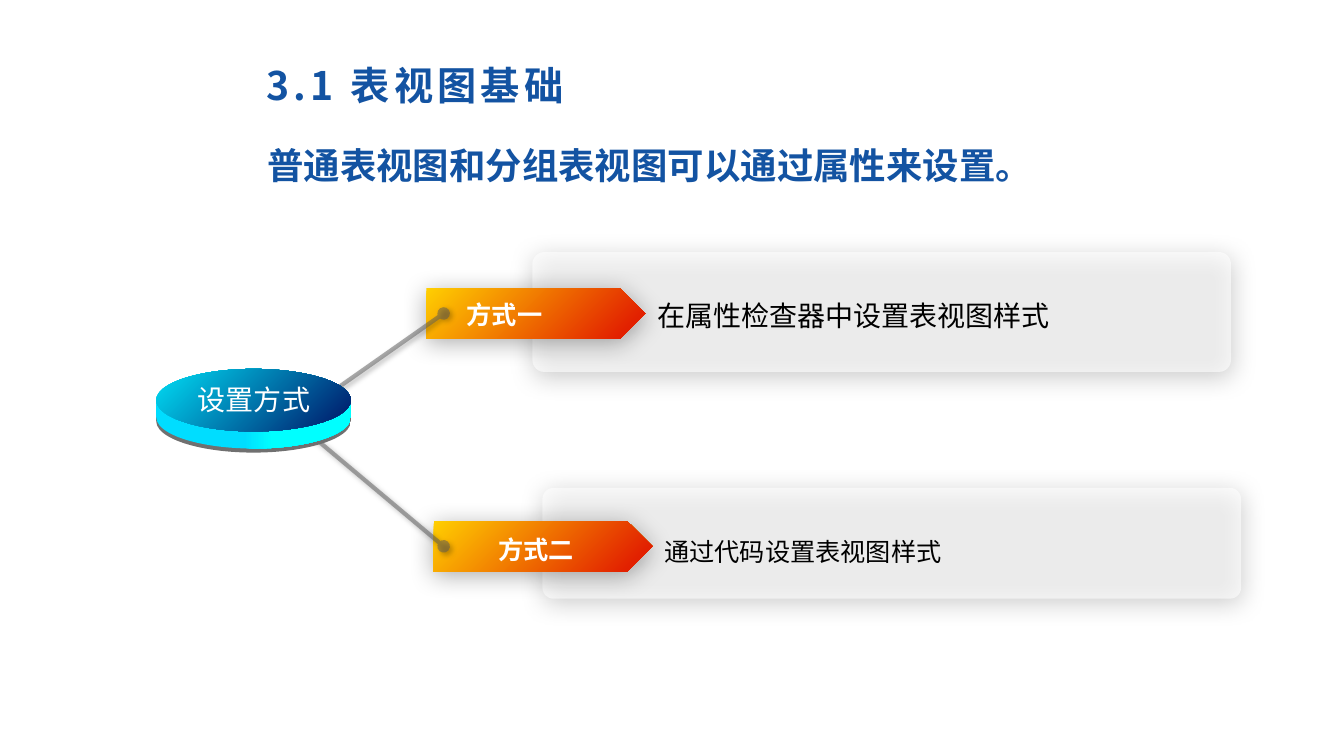
from lxml import etree
from pptx import Presentation
from pptx.dml.color import RGBColor
from pptx.enum.shapes import MSO_CONNECTOR, MSO_SHAPE
from pptx.enum.text import MSO_ANCHOR, PP_ALIGN
from pptx.oxml.ns import qn
from pptx.util import Inches, Pt

ROUND = MSO_SHAPE.ROUNDED_RECTANGLE
ARROW = MSO_SHAPE.PENTAGON
OVAL = MSO_SHAPE.OVAL
RECT = MSO_SHAPE.RECTANGLE
LINE = MSO_CONNECTOR.STRAIGHT
LEFT = PP_ALIGN.LEFT
MID = PP_ALIGN.CENTER
TOP = MSO_ANCHOR.TOP
CENTER = MSO_ANCHOR.MIDDLE

BLUE = RGBColor(0x13, 0x53, 0xA2)
WHITE = RGBColor(0xFF, 0xFF, 0xFF)
BLACK = RGBColor(0, 0, 0)
GOLD = RGBColor(0xFF, 0xCF, 0x01)
RED = RGBColor(0xE2, 0x20, 0x00)
AQUA = RGBColor(0x00, 0xDF, 0xF6)
NAVY = RGBColor(0x00, 0x27, 0x74)
SKY = RGBColor(0x00, 0xDD, 0xFF)
CYAN = RGBColor(0x00, 0xFF, 0xFF)
GRAY = RGBColor(0x59, 0x59, 0x59)
RIM = RGBColor(0x70, 0x70, 0x70)
SANS = "Noto Sans CJK SC"


def write(box, at, text, size, color, bold=False, align=LEFT, anchor=TOP, space=1.0, face=SANS):
    box.left, box.top, box.width, box.height = map(Inches, at)
    frame = box.text_frame
    frame.word_wrap = True
    frame.vertical_anchor = anchor
    para = frame.paragraphs[0]
    para.alignment = align
    para.line_spacing = space
    para.space_before = Pt(0)
    run = para.add_run()
    run.text = text
    run.font.color.rgb = color
    for key, value in {"name": face, "size": Pt(size), "bold": bold}.items():
        setattr(run.font, key, value)
    etree.SubElement(run._r.get_or_add_rPr(), qn("a:ea"), typeface=SANS)
    return para


def shade(item, blur, dist, angle, alpha):
    group = etree.SubElement(item._element.spPr, qn("a:effectLst"))
    glow = etree.SubElement(group, qn("a:outerShdw"), blurRad=str(Pt(blur)),
                            dist=str(Pt(dist)), dir=str(angle * 60000), rotWithShape="0")
    tint = etree.SubElement(glow, qn("a:srgbClr"), val="000000")
    etree.SubElement(tint, qn("a:alpha"), val=str(alpha * 1000))


deck = Presentation()
deck.slide_width = Inches(13.33)
deck.slide_height = Inches(7.5)
slide = deck.slides.add_slide(deck.slide_layouts[1])
shapes = slide.shapes

title = write(shapes.title, (2.54, 0.45, 8.49, 0.79), "3.1 表视图基础", 28, BLUE, True, anchor=CENTER)
title.runs[0]._r.get_or_add_rPr().set("spc", "300")
body = write(slide.placeholders[1], (2.55, 1.37, 10.28, 0.54),
             "普通表视图和分组表视图可以通过属性来设置。", 26, BLUE, True)
props = body._p.get_or_add_pPr()
props.set("marL", "0")
props.set("indent", "0")
etree.SubElement(props, qn("a:buNone"))

for at in ((5.38, 4.84, 6.93, 1.1), (5.28, 2.5, 6.93, 1.19)):
    panel = shapes.add_shape(ROUND, *map(Inches, at))
    panel.adjustments[0] = 0.1
    panel.fill.solid()
    panel.fill.fore_color.rgb = WHITE
    tone = panel._element.spPr.find(qn("a:solidFill"))[0]
    etree.SubElement(tone, qn("a:alpha"), val="60000")
    panel.line.fill.background()
    shade(panel, 17.8, 3, 87, 33)

for left, top in ((4.23, 2.86), (4.3, 5.17)):
    arrow = shapes.add_shape(ARROW, *map(Inches, (left, top, 2.17, 0.5)))
    arrow.fill.gradient()
    arrow.fill.gradient_angle = 315
    for stop, color, spot in zip(arrow.fill.gradient_stops, (GOLD, RED), (0, 0.9)):
        stop.color.rgb = color
        stop.position = spot
    arrow.line.fill.background()
    shade(arrow, 17.8, 3, 87, 33)

for start, end in ((4.03, 3.11), (4.32, 5.42)):
    link = shapes.add_connector(LINE, *map(Inches, (3.09, start, 4.4, end)))
    link.line.width = Pt(3)
    link.line.color.rgb = GRAY
    edge = link.line._get_or_add_ln()
    etree.SubElement(edge.find(qn("a:solidFill"))[0], qn("a:alpha"), val="50000")
    for tip in ("a:headEnd", "a:tailEnd"):
        etree.SubElement(edge, qn(tip), type="oval")
    shade(link, 4, 2, 45, 50)

for kind, top, height, first, last, angle, ends in (
    (OVAL, 3.87, 0.62, RIM, RIM, 0, (0, 1)),
    (RECT, 3.97, 0.21, RIM, RIM, 0, (0, 1)),
    (OVAL, 3.83, 0.62, SKY, CYAN, 0, (0.45, 0.6)),
    (RECT, 3.97, 0.17, SKY, CYAN, 0, (0.45, 0.6)),
    (OVAL, 3.66, 0.62, AQUA, NAVY, 315, (0, 0.9)),
):
    disc = shapes.add_shape(kind, *map(Inches, (1.55, top, 1.93, height)))
    disc.shadow.inherit = False
    disc.fill.gradient()
    disc.fill.gradient_angle = angle
    for stop, color, spot in zip(disc.fill.gradient_stops, (first, last), ends):
        stop.color.rgb = color
        stop.position = spot
    disc.line.fill.background()

for at, text, size, color, bold, align, space, face in (
    ((4.53, 2.92, 1.81, 0.4), "方式一", 18, WHITE, True, LEFT, 1.0, SANS),
    ((4.41, 5.25, 1.81, 0.4), "方式二", 18, WHITE, True, MID, 1.0, "Arial"),
    ((1.5, 3.75, 2.04, 0.44), "设置方式", 20, WHITE, False, MID, 1.0, SANS),
    ((6.42, 2.75, 5.88, 0.58), "在属性检查器中设置表视图样式", 20, BLACK, False, LEFT, 1.5, SANS),
    ((6.49, 5.12, 5.47, 0.53), "通过代码设置表视图样式", 18, BLACK, False, LEFT, 1.5, SANS),
):
    label = shapes.add_textbox(*map(Inches, at))
    write(label, at, text, size, color, bold, align, space=space, face=face)

deck.save("out.pptx")
